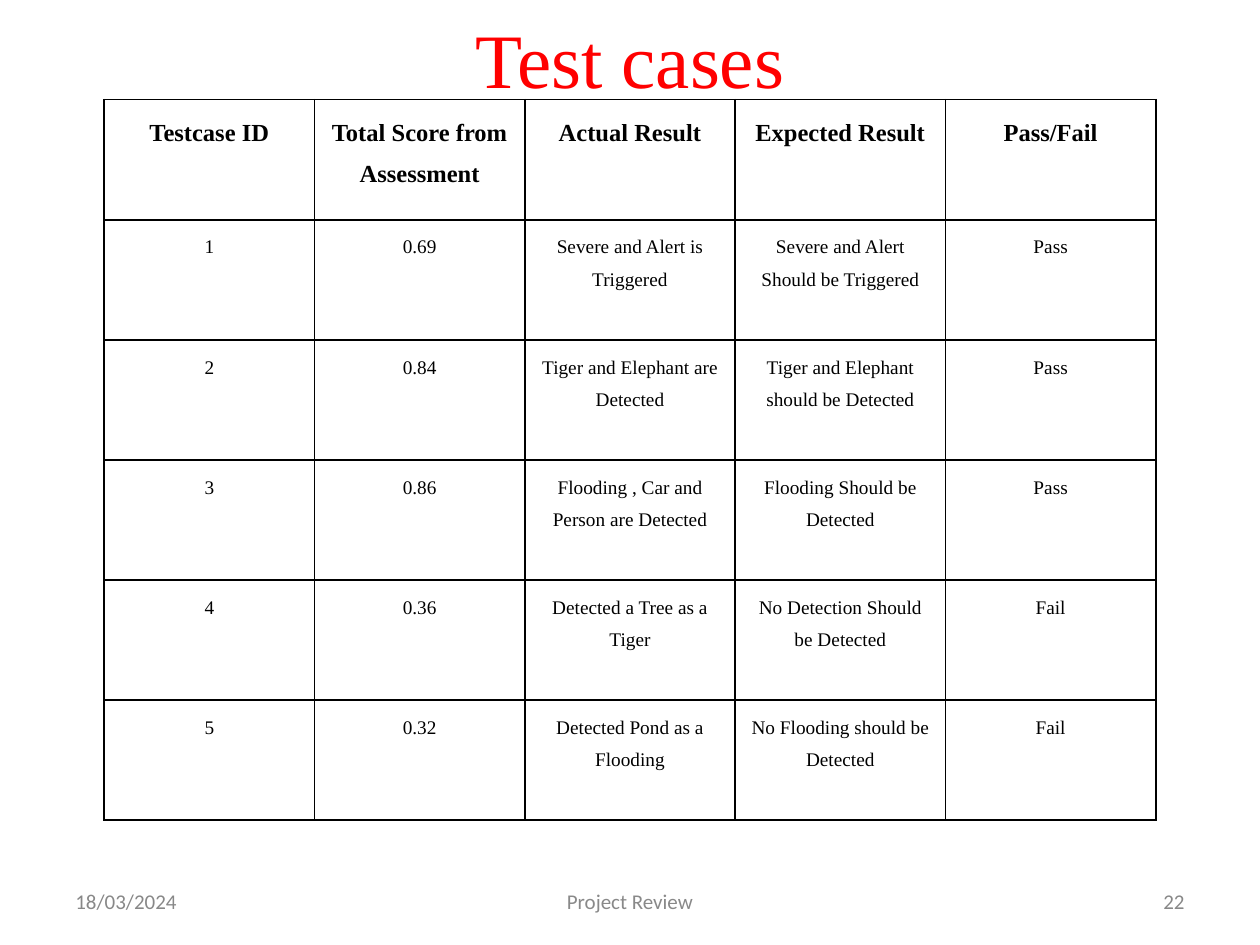
from dataclasses import dataclass

import pptx
import pptx.dml.color
import pptx.enum.text
import pptx.oxml
import pptx.oxml.ns
import pptx.util

Cm = pptx.util.Cm
Pt = pptx.util.Pt
Align = pptx.enum.text.PP_ALIGN
Anchor = pptx.enum.text.MSO_ANCHOR


@dataclass(frozen=True)
class Theme:
    serif: str = "Times New Roman"
    sans: str = "Calibri"
    title_color: str = "FF0000"
    table_color: str = "000000"
    footer_color: str = "888888"
    footer_center_color: str = "898989"
    title_size: int = 44
    header_size: int = 14
    body_size: int = 11
    footer_size: int = 12
    border_width: int = 1


THEME = Theme()

TEST_CASES = [
    ["Testcase ID", "Total Score from Assessment", "Actual Result",
     "Expected Result", "Pass/Fail"],
    ["1", "0.69", "Severe and Alert is Triggered",
     "Severe and Alert Should be Triggered", "Pass"],
    ["2", "0.84", "Tiger and Elephant are Detected",
     "Tiger and Elephant should be Detected", "Pass"],
    ["3", "0.86", "Flooding , Car and Person are Detected",
     "Flooding Should be Detected", "Pass"],
    ["4", "0.36", "Detected a Tree as a Tiger",
     "No Detection Should be Detected", "Fail"],
    ["5", "0.32", "Detected Pond as a Flooding",
     "No Flooding should be Detected", "Fail"],
]


def style_paragraph(para, font_name, size, color, align, bold=False):
    para.alignment = align
    para.font.name = font_name
    para.font.size = Pt(size)
    para.font.bold = bold
    para.font.color.rgb = pptx.dml.color.RGBColor.from_string(color)


def add_text(page, text, left, top, width, height, *style):
    """Add a vertically centred line of text; lengths are in centimetres."""
    box = page.shapes.add_textbox(Cm(left), Cm(top), Cm(width), Cm(height))
    frame = box.text_frame
    frame.word_wrap = True
    frame.vertical_anchor = Anchor.MIDDLE
    frame.text = text
    style_paragraph(frame.paragraphs[0], *style)


def add_borders(cell):
    properties = cell._tc.get_or_add_tcPr()
    for side in ("lnL", "lnR", "lnT", "lnB"):
        properties.append(pptx.oxml.parse_xml(
            f'<a:{side} {pptx.oxml.ns.nsdecls("a")} w="{Pt(THEME.border_width)}">'
            f'<a:solidFill><a:srgbClr val="{THEME.table_color}"/></a:solidFill>'
            f'</a:{side}>'))


def add_test_table(page, rows, left, top, column_width, row_height):
    row_count, column_count = len(rows), len(rows[0])
    table = page.shapes.add_table(
        row_count, column_count, Cm(left), Cm(top),
        Cm(column_width * column_count), Cm(row_height * row_count)).table
    table.horz_banding = False
    for column in table.columns:
        column.width = Cm(column_width)
    for index, (row, texts) in enumerate(zip(table.rows, rows)):
        row.height = Cm(row_height)
        is_header = index == 0
        size = THEME.header_size if is_header else THEME.body_size
        for cell, text in zip(row.cells, texts):
            add_borders(cell)
            cell.fill.background()
            cell.text = text
            para = cell.text_frame.paragraphs[0]
            para.line_spacing = 1.5
            style_paragraph(para, THEME.serif, size, THEME.table_color,
                            Align.CENTER, is_header)


def add_footer(page):
    parts = [
        ("18/03/2024", 1.27, 5.93, THEME.footer_color, Align.LEFT),
        ("Project Review", 8.68, 8.04, THEME.footer_center_color, Align.CENTER),
        ("22", 18.2, 5.93, THEME.footer_color, Align.RIGHT),
    ]
    for text, left, width, color, align in parts:
        add_text(page, text, left, 17.65, width, 1.02,
                 THEME.sans, THEME.footer_size, color, align)


def main():
    deck = pptx.Presentation()
    deck.slide_width, deck.slide_height = Cm(25.4), Cm(19.05)
    page = deck.slides.add_slide(deck.slide_layouts[6])
    add_text(page, "Test cases", 1.27, -0.43, 22.86, 3.18,
             THEME.serif, THEME.title_size, THEME.title_color, Align.CENTER)
    add_footer(page)
    add_test_table(page, TEST_CASES, 2.1, 2.01, 4.24, 2.42)
    deck.save("out.pptx")


if __name__ == "__main__":
    main()
